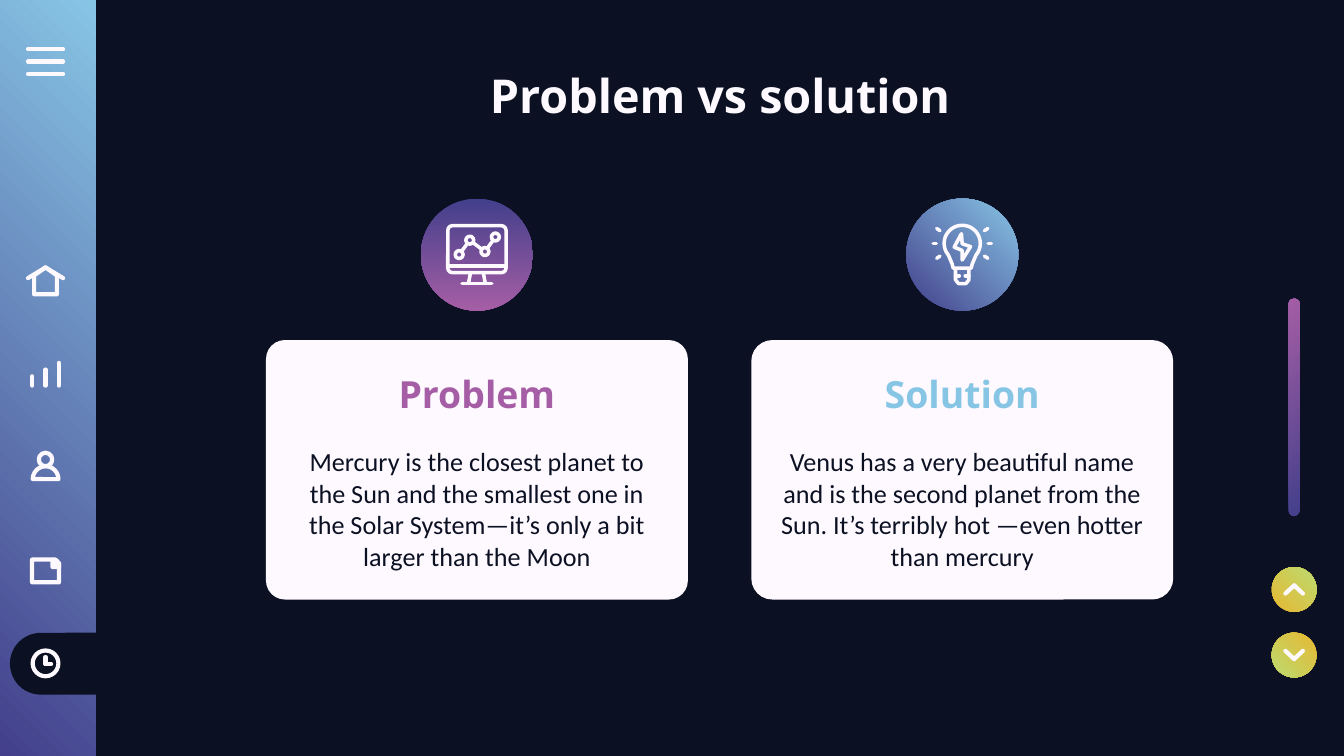
from dataclasses import dataclass
from itertools import pairwise
from math import cos, hypot, radians, sin

from lxml.etree import SubElement
from pptx import Presentation
from pptx.dml.color import RGBColor as Color
from pptx.enum.shapes import MSO_CONNECTOR as Connector, MSO_SHAPE as Preset
from pptx.enum.text import MSO_ANCHOR as Anchor, MSO_AUTO_SIZE as AutoSize, PP_ALIGN as Align
from pptx.oxml.ns import qn
from pptx.util import Pt

Point = tuple[float, float]


@dataclass(frozen=True)
class Gradient:
    start: str
    end: str
    angle: float


@dataclass(frozen=True)
class Theme:
    night: str = "0B1022"
    light: str = "FDF9FF"
    sky: str = "87C5E5"
    orchid: str = "A55EA5"
    indigo: str = "433F8B"
    gold: str = "E8B832"
    lime: str = "BBDB70"
    heading_font: str = "Open Sans"
    body_font: str = "Calibri"
    title_size: float = 25
    heading_size: float = 20
    body_size: float = 14
    stroke: float = 2.25
    fine_stroke: float = 1.9


@dataclass(frozen=True)
class Frame:
    left: float
    top: float
    width: float
    height: float

    def lengths(self) -> list[Pt]:
        return [Pt(value) for value in (self.left, self.top, self.width, self.height)]


@dataclass(frozen=True)
class Card:
    left: float
    heading: str
    color: str
    body: str
    badge: Gradient
    corner: float


THEME = Theme()
CARD_WIDTH = 226
BADGE_SIZE = 60
BADGE_MIDDLE = 136.4
SIDE_CENTER = 24.4
BUTTON_CENTER = 693.3

CARDS = (
    Card(142.5, "Problem", THEME.orchid,
         "Mercury is the closest planet to the Sun and the smallest one in "
         "the Solar System—it’s only a bit larger than the Moon",
         Gradient(THEME.indigo, THEME.orchid, 270), 0.073),
    Card(402.5, "Solution", THEME.sky,
         "Venus has a very beautiful name and is the second planet from the "
         "Sun. It’s terribly hot —even hotter than mercury",
         Gradient(THEME.indigo, THEME.sky, 45), 0.081),
)


def style_line(shape, width: float) -> None:
    shape.line.color.rgb = Color.from_string(THEME.light)
    shape.line.width = Pt(width)
    line = shape._element.spPr.find(qn("a:ln"))
    line.set("cap", "rnd")
    SubElement(line, qn("a:round"))


def style_shape(shape, fill: str | Gradient | None, stroke: float) -> None:
    shape.shadow.inherit = False
    if isinstance(fill, Gradient):
        shape.fill.gradient()
        shape.fill.gradient_angle = fill.angle
        for stop, color in zip(shape.fill.gradient_stops, (fill.start, fill.end)):
            stop.color.rgb = Color.from_string(color)
    elif fill:
        shape.fill.solid()
        shape.fill.fore_color.rgb = Color.from_string(fill)
    else:
        shape.fill.background()
    if stroke:
        style_line(shape, stroke)
    else:
        shape.line.fill.background()


def draw_shape(page, preset: Preset, frame: Frame, fill: str | Gradient | None = None,
               stroke: float = 0, rotation: float = 0, adjust: tuple[float, ...] = ()) -> None:
    shape = page.shapes.add_shape(preset, *frame.lengths())
    shape.rotation = rotation
    for index, value in enumerate(adjust):
        shape.adjustments[index] = value
    style_shape(shape, fill, stroke)


def draw_circle(page, center: Point, radius: float, fill: str | Gradient | None = None,
                stroke: float = 0, rotation: float = 0) -> None:
    frame = Frame(center[0] - radius, center[1] - radius, 2 * radius, 2 * radius)
    draw_shape(page, Preset.OVAL, frame, fill, stroke, rotation)


def draw_lines(page, *points: Point, width: float = THEME.stroke) -> None:
    for start, end in pairwise(points):
        line = page.shapes.add_connector(
            Connector.STRAIGHT, *(Pt(value) for value in (*start, *end)))
        style_line(line, width)
        SubElement(line._element.spPr, qn("a:effectLst"))


def draw_outline(page, points: list[Point], fill: str | None = None,
                 width: float = THEME.stroke, close: bool = True) -> None:
    corners = [(Pt(x), Pt(y)) for x, y in points]
    builder = page.shapes.build_freeform(*corners[0], scale=1.0)
    builder.add_line_segments(corners[1:], close=close)
    style_shape(builder.convert_to_shape(), fill, width)


def write_text(box, frame: Frame, text: str, *, font: str, size: float, color: str,
               bold: bool = False, anchor: Anchor = Anchor.MIDDLE, side: float = 7.2) -> None:
    box.left, box.top, box.width, box.height = frame.lengths()
    content = box.text_frame
    content.word_wrap = True
    content.auto_size = AutoSize.NONE
    content.vertical_anchor = anchor
    content.margin_left = content.margin_right = Pt(side)
    content.margin_top = content.margin_bottom = Pt(7.2)
    para = content.paragraphs[0]
    para.alignment = Align.CENTER
    span = para.add_run()
    span.text = text
    span.font.name, span.font.size, span.font.bold = font, Pt(size), bold
    span.font.color.rgb = Color.from_string(color)


def draw_card(page, card: Card) -> None:
    draw_shape(page, Preset.ROUNDED_RECTANGLE, Frame(card.left, 182.2, CARD_WIDTH, 139),
               THEME.light, adjust=(card.corner,))
    heading, body = (page.shapes.add_textbox(0, 0, 0, 0) for _ in range(2))
    write_text(heading, Frame(card.left + 40.25, 185.8, 145.5, 49.7), card.heading,
               font=THEME.heading_font, size=THEME.heading_size, color=card.color, bold=True)
    write_text(body, Frame(card.left, 226.8, CARD_WIDTH, 91.4), card.body,
               font=THEME.body_font, size=THEME.body_size, color=THEME.night, side=14.4)
    draw_circle(page, (card.left + CARD_WIDTH / 2, BADGE_MIDDLE), BADGE_SIZE / 2, card.badge)


def draw_monitor(page, x: float, y: float) -> None:
    fine = THEME.fine_stroke
    draw_shape(page, Preset.ROUNDED_RECTANGLE, Frame(x - 15.6, y - 15.5, 31.2, 25.2),
               stroke=fine, adjust=(0.1,))
    draw_lines(page, (x - 15.6, y + 6.1), (x + 15.6, y + 6.1), width=fine)
    draw_lines(page, (x - 8, y + 15.5), (x + 8, y + 15.5), width=fine)
    for side in (-1, 1):
        draw_lines(page, (x + 3.5 * side, y + 10), (x + 4.5 * side, y + 15.5), width=fine)
    radius = 2.1
    nodes = [(x - 9.5, y), (x - 3.8, y - 7.7), (x + 4.3, y - 1.6), (x + 9.9, y - 9.4)]
    for node in nodes:
        draw_circle(page, node, radius, stroke=fine)
    for (x1, y1), (x2, y2) in pairwise(nodes):
        share = radius / hypot(x2 - x1, y2 - y1)
        dx, dy = (x2 - x1) * share, (y2 - y1) * share
        draw_lines(page, (x1 + dx, y1 + dy), (x2 - dx, y2 - dy), width=fine)


def draw_bulb(page, x: float, y: float) -> None:
    fine = THEME.fine_stroke
    glass = [(9.7 * cos(radians(turn)), 9.7 * sin(radians(turn)) - 6)
             for turn in range(140, 401, 10)]
    glass += [(5.4, 5), (4.8, 7.3), (-4.8, 7.3), (-5.4, 5)]
    bolt = [(-0.4, -11.2), (-4.3, -4), (0, -2.2), (0, 2.9), (4.5, -4.3), (0, -5.8)]
    socket = [(-3.6, 8), (-3.6, 13.5), (-2, 15.5), (2, 15.5), (3.6, 13.5), (3.6, 8)]
    for points, close in ((glass, True), (bolt, True), (socket, False)):
        draw_outline(page, [(x + dx, y + dy) for dx, dy in points], width=fine, close=close)
    for side in (-1, 1):
        draw_lines(page, (x + 3.6 * side, y + 11.4), (x + 1.6 * side, y + 11.4), width=fine)
        for tilt in (-1, 0, 1):
            inner, outer = (11.9, 13.7) if tilt else (13.9, 15.6)
            draw_lines(page, (x + inner * side, y - 6 + 6.8 * tilt),
                       (x + outer * side, y - 6 + 8 * tilt), width=fine)


def draw_sidebar(page) -> None:
    x, stroke = SIDE_CENTER, THEME.stroke
    draw_shape(page, Preset.RECTANGLE, Frame(0, 0, 51.4, 405),
               Gradient(THEME.indigo, THEME.sky, 45))
    draw_shape(page, Preset.ROUND_2_SAME_RECTANGLE, Frame(15, 329.3, 33.2, 52.5),
               THEME.night, rotation=270, adjust=(0.5, 0))
    for row in range(3):
        draw_lines(page, (x - 9.4, 26.4 + 6.6 * row), (x + 9.4, 26.4 + 6.6 * row))
    draw_lines(page, (x - 9.4, 149), (x, 143.3), (x + 9.4, 149))
    draw_outline(page, [(x - 6.1, 147.6), (x - 6.1, 157.7), (x + 6.1, 157.7),
                        (x + 6.1, 147.6), (x, 143.3)])
    for column in (-1, 0, 1):
        draw_lines(page, (x + 7.1 * column, 198 - 3.6 * column), (x + 7.1 * column, 206.6))
    draw_circle(page, (x, 246.2), 3.6, stroke=stroke)
    draw_shape(page, Preset.PIE, Frame(x - 6.9, 249.8, 13.8, 13.8), stroke=stroke,
               rotation=90, adjust=(54.33, 162))
    draw_shape(page, Preset.SNIP_1_RECTANGLE, Frame(x - 7.2, 299.8, 14.4, 12.2),
               stroke=stroke, adjust=(0.167,))
    draw_outline(page, [(x + 3.7, 300), (x + 5.6, 300), (x + 7.3, 302),
                        (x + 7.3, 303.8), (x + 3.7, 303.8)], THEME.light)
    draw_circle(page, (x, 355.4), 6.9, stroke=stroke)
    draw_lines(page, (x, 352), (x, 355.7), (x + 3, 355.7))


def draw_scroller(page) -> None:
    x = BUTTON_CENTER
    draw_shape(page, Preset.ROUNDED_RECTANGLE, Frame(x - 58.3, 215.3, 116.6, 6),
               Gradient(THEME.indigo, THEME.orchid, 225), rotation=90, adjust=(0.5,))
    for middle, direction, rotation in ((315.8, -1, 0), (350.9, 1, 180)):
        draw_circle(page, (x, middle), 12, Gradient(THEME.gold, THEME.lime, 45),
                    rotation=rotation)
        tip, tail = middle + 2.2 * direction, middle - 2.2 * direction
        draw_lines(page, (x - 4.7, tail), (x, tip), (x + 4.7, tail))


def main() -> None:
    deck = Presentation()
    deck.slide_width, deck.slide_height = Pt(720), Pt(405)
    page = deck.slides.add_slide(deck.slide_layouts[5])
    page.background.fill.solid()
    page.background.fill.fore_color.rgb = Color.from_string(THEME.night)
    draw_sidebar(page)
    write_text(page.shapes.title, Frame(51.4, 28.8, 668.6, 45.4), "Problem vs solution",
               font=THEME.heading_font, size=THEME.title_size, color=THEME.light,
               bold=True, anchor=Anchor.TOP)
    for card, draw_icon in zip(CARDS, (draw_monitor, draw_bulb)):
        draw_card(page, card)
        draw_icon(page, card.left + CARD_WIDTH / 2, BADGE_MIDDLE)
    draw_scroller(page)
    deck.save("out.pptx")


if __name__ == "__main__":
    main()
